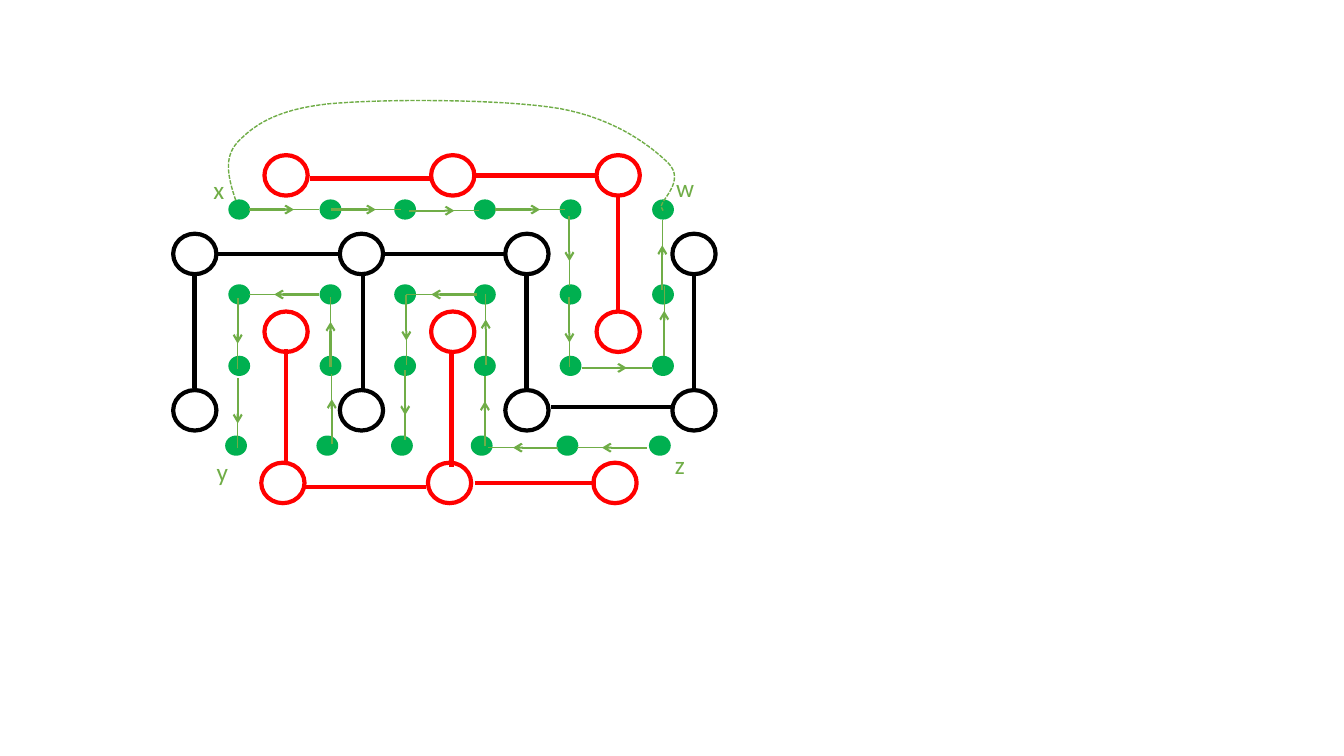
from itertools import product

from pptx import Presentation
from pptx import util as u
from pptx.dml.color import RGBColor
from pptx.enum import dml, shapes
from pptx.oxml import ns, xmlchemy

COLORS = {"black": "000000", "red": "FF0000", "white": "FFFFFF",
          "dot": "00B050", "path": "70AD47"}


def add_circle(center_x, center_y, width, height, fill, outline=None):
    circle = page.shapes.add_shape(
        shapes.MSO_SHAPE.OVAL, u.Cm(center_x - width / 2), u.Cm(center_y - height / 2),
        u.Cm(width), u.Cm(height))
    circle.shadow.inherit = False
    circle.fill.solid()
    circle.fill.fore_color.rgb = RGBColor.from_string(COLORS[fill])
    if outline:
        circle.line.color.rgb = RGBColor.from_string(COLORS[outline])
        circle.line.width = u.Pt(3)
    else:
        circle.line.fill.background()


def add_line(start_x, start_y, end_x, end_y, color, width, arrow=False):
    line = page.shapes.add_connector(
        shapes.MSO_CONNECTOR.STRAIGHT,
        u.Cm(start_x), u.Cm(start_y), u.Cm(end_x), u.Cm(end_y))
    line.line.color.rgb = RGBColor.from_string(COLORS[color])
    line.line.width = u.Pt(width)
    properties = line.element.spPr
    if arrow:
        head = xmlchemy.OxmlElement("a:tailEnd")
        head.set("type", "arrow")
        properties.find(ns.qn("a:ln")).append(head)
    properties.append(xmlchemy.OxmlElement("a:effectLst"))


deck = Presentation()
deck.slide_width, deck.slide_height = u.Cm(33.87), u.Cm(19.05)
page = deck.slides.add_slide(deck.slide_layouts[6])

# Grid nodes; the bottom row sits slightly to the left
BOTTOM_SHIFT = 0.08
dot_columns = [6.03, 8.33, 10.21, 12.22, 14.38, 16.71]
red_columns = [7.21, 11.41, 15.58]
black_columns = [4.91, 9.11, 13.28, 17.49]
node_grids = [
    (dot_columns, [5.28, 7.42, 9.22], 0.55, 0.51, "dot", None),
    ([x - BOTTOM_SHIFT for x in dot_columns], [11.23], 0.55, 0.51, "dot", None),
    (red_columns, [4.42, 8.36], 1.09, 1.02, "white", "red"),
    ([x - BOTTOM_SHIFT for x in red_columns], [12.17], 1.09, 1.02, "white", "red"),
    (black_columns, [6.4, 10.34], 1.09, 1.02, "white", "black"),
]
for columns, rows, width, height, fill, outline in node_grids:
    for x, y in product(columns, rows):
        add_circle(x, y, width, height, fill, outline)

# Thick edges: colour, extent, start points
ACROSS, DOWN = (3.07, 0), (0, 2.92)
edges = [
    ("black", ACROSS, [(9.65, 6.4), (5.44, 6.4), (13.89, 10.26)]),
    ("red", ACROSS, [(11.96, 4.42), (7.8, 4.5), (7.67, 12.27), (11.96, 12.17)]),
    ("black", DOWN, [(13.27, 6.91), (9.14, 6.91), (4.9, 6.86), (17.48, 6.86)]),
    ("red", DOWN, [(15.57, 4.93), (7.21, 8.79), (11.38, 8.86)]),
]
for color, (dx, dy), starts in edges:
    for x, y in starts:
        add_line(x, y, x + dx, y + dy, color, 3)

# Green path steps: an arrow, then a thin tail reaching the next dot
ARROW_LENGTH, TAIL_START, TAIL_END = 1.14, 0.93, 1.77
steps = {
    (1, 0): [(6.27, 5.28), (8.33, 5.28), (10.31, 5.31), (12.47, 5.28), (14.66, 9.27)],
    (0, 1): [(14.35, 5.44), (14.35, 7.49), (5.99, 9.53), (5.99, 7.52),
             (10.24, 7.44), (10.21, 9.32)],
    (0, -1): [(12.22, 11.25), (12.24, 9.19), (8.36, 11.2), (8.33, 9.25),
              (16.74, 8.97), (16.69, 7.32)],
    (-1, 0): [(16.31, 11.28), (14.07, 11.28), (12.01, 7.42), (8.05, 7.42)],
}
for (dx, dy), starts in steps.items():
    for x, y in starts:
        add_line(x, y, x + dx * ARROW_LENGTH, y + dy * ARROW_LENGTH, "path", 1.5, arrow=True)
        add_line(x + dx * TAIL_END, y + dy * TAIL_END,
                 x + dx * TAIL_START, y + dy * TAIL_START, "path", 1)

for letter, x, y in [("x", 5.13, 4.27), ("y", 5.21, 11.38),
                     ("w", 16.79, 4.22), ("z", 16.76, 11.2)]:
    box = page.shapes.add_textbox(u.Cm(x), u.Cm(y), u.Cm(0.76), u.Cm(1.02))
    box.text_frame.word_wrap = True
    para = box.text_frame.paragraphs[0]
    para.text = letter
    span = para.runs[0]
    span.font.name = "Calibri"
    span.font.size = u.Pt(18)
    span.font.color.rgb = RGBColor.from_string(COLORS["path"])

# Dashed arc from x to w: cubic curves sampled at even steps
arc_start = (5.94, 5.05)
arc_curves = [
    [(5.77, 4.52), (5.61, 3.99), (5.99, 3.58)],
    [(6.38, 3.18), (6.91, 2.77), (8.26, 2.62)],
    [(9.6, 2.49), (12.67, 2.49), (14.12, 2.74)],
    [(15.54, 3.0), (16.43, 3.71), (16.84, 4.11)],
    [(17.27, 4.55), (16.69, 5.0), (16.66, 5.21)],
]
SAMPLES = 16
arc_points = []
start = arc_start
for first, second, end in arc_curves:
    for sample in range(1, SAMPLES + 1):
        t = sample / SAMPLES
        arc_points.append(tuple(
            u.Cm((1 - t) ** 3 * a + 3 * (1 - t) ** 2 * t * b + 3 * (1 - t) * t ** 2 * c + t ** 3 * d)
            for a, b, c, d in zip(start, first, second, end)))
    start = end
arc_points.append((u.Cm(16.71), u.Cm(5.31)))
builder = page.shapes.build_freeform(u.Cm(arc_start[0]), u.Cm(arc_start[1]))
builder.add_line_segments(arc_points, close=False)
arc = builder.convert_to_shape()
arc.shadow.inherit = False
arc.fill.background()
arc.line.color.rgb = RGBColor.from_string(COLORS["path"])
arc.line.width = u.Pt(1)
arc.line.dash_style = dml.MSO_LINE.SQUARE_DOT

deck.save("out.pptx")
